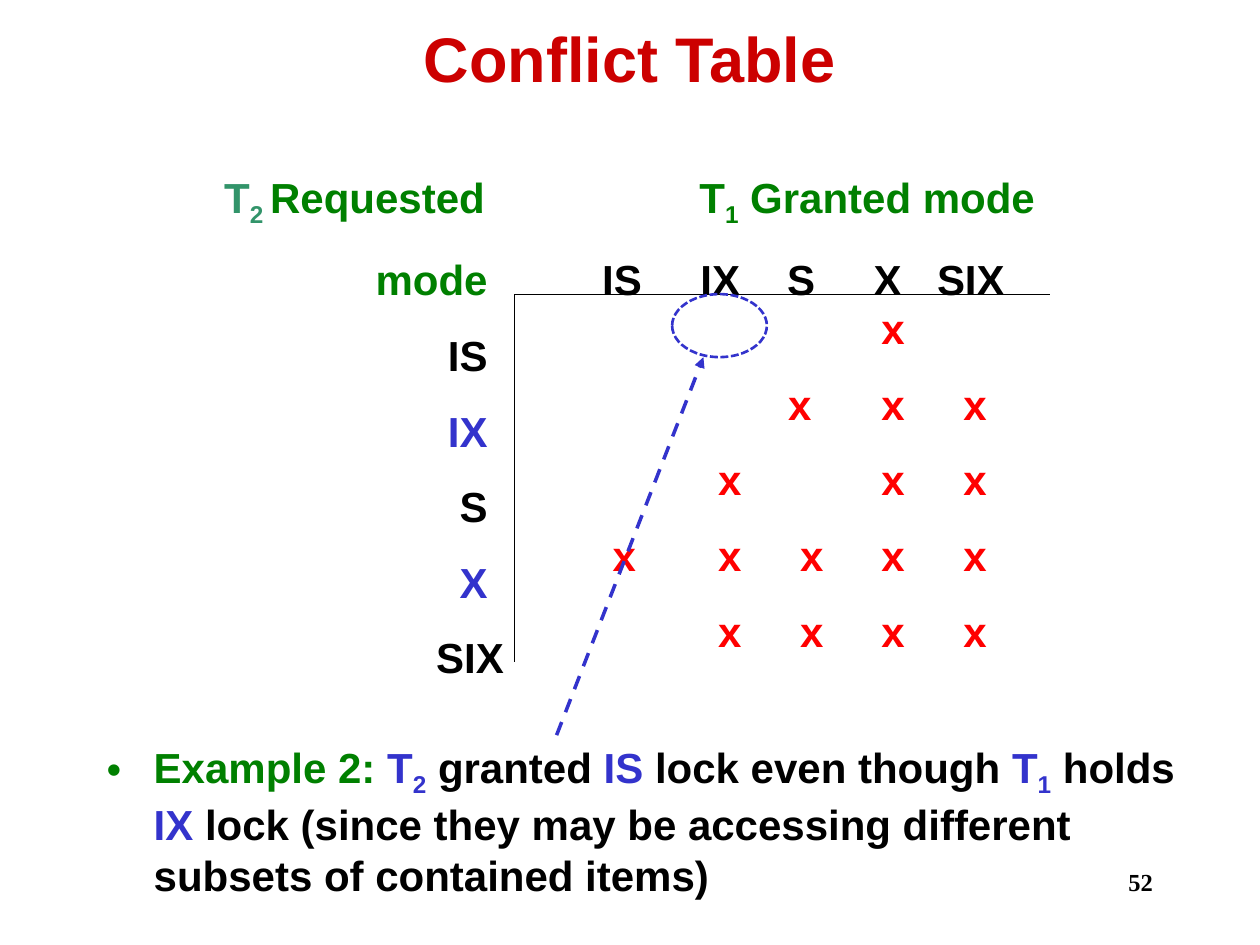
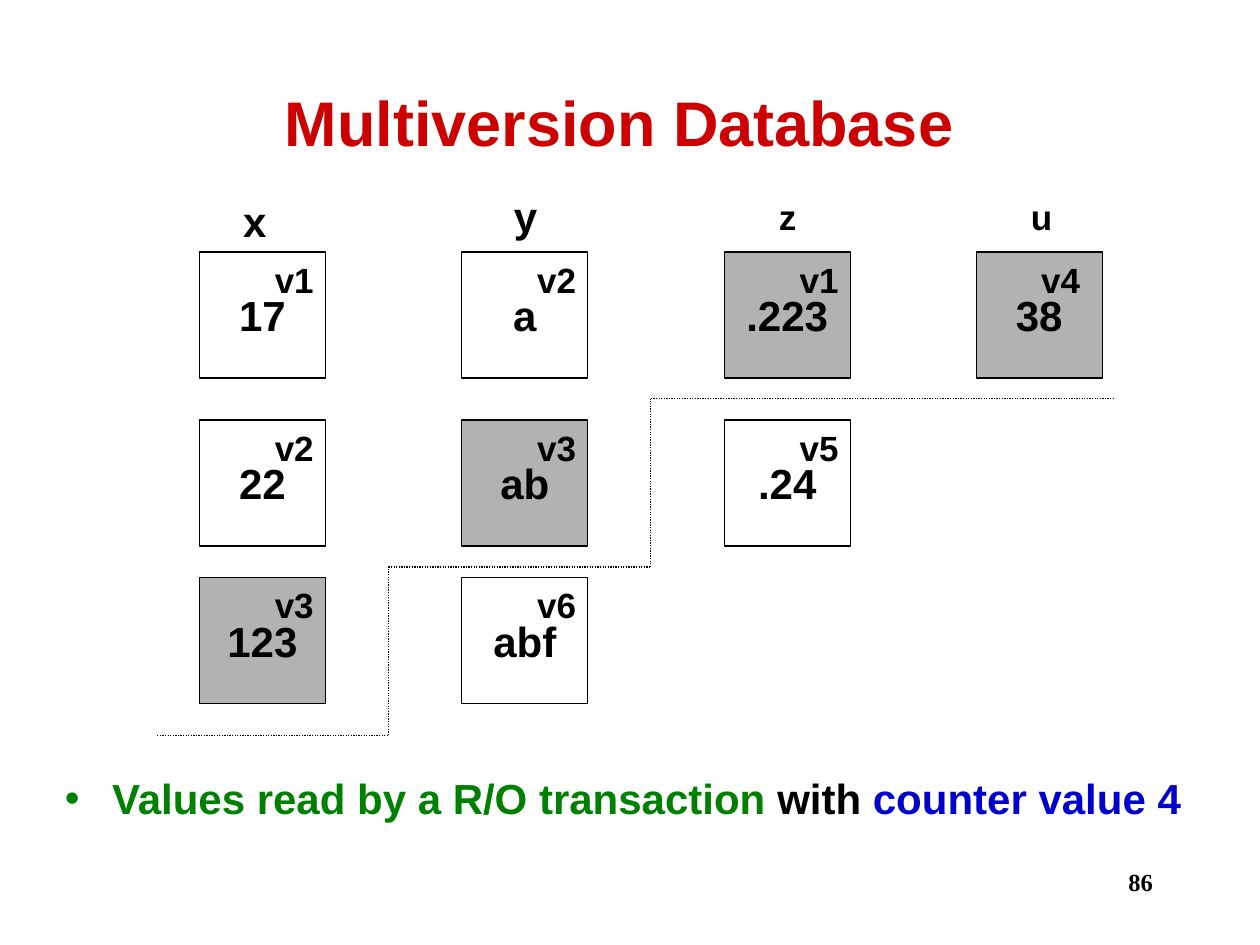
from itertools import pairwise

from lxml.etree import SubElement
from pptx import Presentation
from pptx.dml.color import RGBColor
from pptx.enum.dml import MSO_LINE
from pptx.enum.shapes import MSO_CONNECTOR, MSO_SHAPE
from pptx.enum.text import MSO_ANCHOR, PP_ALIGN
from pptx.oxml.ns import qn
from pptx.util import Cm, Pt

BLACK, WHITE, GRAY = "000000", "FFFFFF", "B2B2B2"
TITLE_RED, MARK_RED = "CC0000", "FF0000"
GREEN, TEAL = "008000", "32946A"
BLUE, COUNTER_BLUE = "3333CC", "0000CC"
BODY_FONT, NUMBER_FONT = "Arial", "Times New Roman"


def color(value):
    return RGBColor.from_string(value)


def format_run(run, value=BLACK, size=24, name=BODY_FONT):
    run.font.size = Pt(size)
    run.font.bold = True
    run.font.name = name
    run.font.color.rgb = color(value)


def add_runs(paragraph, parts):
    for text, value, *subscript in parts:
        run = paragraph.add_run()
        run.text = text
        format_run(run, value)
        if subscript:
            run.font._element.set("baseline", "-25000")


def set_tabs(paragraph, stops):
    tab_list = SubElement(paragraph._p.get_or_add_pPr(), qn("a:tabLst"))
    for position, alignment in stops:
        SubElement(tab_list, qn("a:tab"), pos=str(Cm(position)), algn=alignment)


def add_box(slide, box, wrap=True):
    frame = slide.shapes.add_textbox(*map(Cm, box)).text_frame
    frame.word_wrap = wrap
    return frame


def add_label(slide, box, text, value=BLACK, size=24, name=BODY_FONT,
              alignment=PP_ALIGN.LEFT, anchor=MSO_ANCHOR.TOP, wrap=True):
    frame = add_box(slide, box, wrap)
    frame.text = text
    frame.vertical_anchor = anchor
    paragraph = frame.paragraphs[0]
    paragraph.alignment = alignment
    format_run(paragraph.runs[0], value, size, name)


def add_title(slide, box, text):
    add_label(slide, box, text, TITLE_RED, 36,
              alignment=PP_ALIGN.CENTER, anchor=MSO_ANCHOR.MIDDLE)


def add_page_number(slide, number):
    add_label(slide, (18.2, 17.36, 5.29, 1.27), str(number), size=14,
              name=NUMBER_FONT, alignment=PP_ALIGN.RIGHT)


def add_bullet(slide, box, parts):
    paragraph = add_box(slide, box).paragraphs[0]
    properties = paragraph._p.get_or_add_pPr()
    properties.set("marL", str(Cm(0.95)))
    properties.set("indent", str(Cm(-0.95)))
    bullet_color = SubElement(properties, qn("a:buClr"))
    SubElement(bullet_color, qn("a:srgbClr"), val=GREEN)
    SubElement(properties, qn("a:buFont"), typeface=BODY_FONT)
    SubElement(properties, qn("a:buChar"), char="•")
    add_runs(paragraph, parts)


def add_line(slide, start, end, value=BLACK, width=0.75, dash=None, arrow=False):
    line = slide.shapes.add_connector(
        MSO_CONNECTOR.STRAIGHT, *map(Cm, (*start, *end)))
    SubElement(line._element.spPr, qn("a:effectLst"))
    line.line.color.rgb = color(value)
    line.line.width = Pt(width)
    if dash:
        line.line.dash_style = dash
    if arrow:
        SubElement(line.line._get_or_add_ln(), qn("a:tailEnd"), type="triangle")


def add_tabbed_rows(slide, box, rows):
    frame = add_box(slide, box)
    for index, (stops, parts) in enumerate(rows):
        paragraph = frame.add_paragraph() if index else frame.paragraphs[0]
        paragraph.line_spacing = 1.5
        set_tabs(paragraph, stops)
        add_runs(paragraph, parts)


def add_modes(slide, box):
    mode_stop = (5.77, "r")
    heading_stops = [(position, "l") for position in (8.08, 10.06, 11.81, 13.55, 14.83)]
    rows = [
        ([(0.46, "l"), (10.04, "l")],
         [("\tT", TEAL), ("2 ", TEAL, True), ("Requested\tT", GREEN),
          ("1", GREEN, True), (" Granted mode", GREEN)]),
        ([mode_stop, *heading_stops],
         [("\tmode", GREEN), ("\tIS\tIX\tS\tX\tSIX", BLACK)]),
    ]
    for mode, value in (("IS", BLACK), ("IX", BLUE), ("S", BLACK), ("X", BLUE)):
        rows.append(([mode_stop], [("\t" + mode, value)]))
    rows.append(([(6.1, "r")], [("\tSIX", BLACK)]))
    add_tabbed_rows(slide, box, rows)


def add_conflicts(slide, box):
    is_stop, ix_stop, s_stop, x_stop, six_stop = 0.46, 2.59, 4.24, 5.88, 7.53
    conflicts = [
        [x_stop],
        [s_stop - 0.24, x_stop, six_stop],
        [ix_stop, x_stop, six_stop],
        [is_stop, ix_stop, s_stop, x_stop, six_stop],
        [ix_stop, s_stop, x_stop, six_stop],
    ]
    add_tabbed_rows(slide, box, [
        ([(stop, "l") for stop in stops], [("\tx" * len(stops), MARK_RED)])
        for stops in conflicts])


def add_conflict_table(slide, left, top):
    add_modes(slide, (left, top, 17.98, 10.92))
    add_conflicts(slide, (left + 7.83, top + 2.72, 8.89, 8.2))
    corner = (left + 6.56, top + 3.18)
    add_line(slide, corner, (corner[0] + 10.8, corner[1]))
    add_line(slide, corner, (corner[0], corner[1] + 7.41))
    add_line(slide, (left + 7.41, top + 12.07), (left + 10.37, top + 4.45),
             BLUE, 2, MSO_LINE.DASH, arrow=True)
    ellipse = slide.shapes.add_shape(
        MSO_SHAPE.OVAL, *map(Cm, (left + 9.74, top + 3.18, 1.91, 1.27)))
    ellipse.shadow.inherit = False
    ellipse.fill.background()
    ellipse.line.color.rgb = color(BLUE)
    ellipse.line.width = Pt(1.5)
    ellipse.line.dash_style = MSO_LINE.SQUARE_DOT


def add_version(slide, left, top, value, version, label_offset, is_read):
    square = slide.shapes.add_shape(MSO_SHAPE.RECTANGLE, *map(Cm, (left, top, 2.54, 2.54)))
    square.shadow.inherit = False
    square.fill.solid()
    square.fill.fore_color.rgb = color(GRAY if is_read else WHITE)
    square.line.color.rgb = color(BLACK)
    square.line.width = Pt(0.75)
    frame = square.text_frame
    frame.text = value
    frame.word_wrap = False
    frame.vertical_anchor = MSO_ANCHOR.MIDDLE
    frame.paragraphs[0].alignment = PP_ALIGN.CENTER
    format_run(frame.paragraphs[0].runs[0])
    add_label(slide, (left + label_offset, top, 1.3, 1.09), version, size=20, wrap=False)


def add_version_grid(slide, left, top):
    row_offsets = (0, 3.39, 6.56)
    columns = [
        (0, ("x", 0.63, -1.27, 24), 1.27, [("17", "v1"), ("22", "v2"), ("123", "v3")], 2),
        (5.29, ("y", 0.8, -1.37, 24), 1.27, [("a", "v2"), ("ab", "v3"), ("abf", "v6")], 1),
        (10.58, ("z", 0.85, -1.27, 20), 1.27, [(".223", "v1"), (".24", "v5")], 0),
        (15.66, ("u", 0.85, -1.27, 20), 1.06, [("38", "v4")], 0),
    ]
    for offset, (name, across, up, size), label_offset, versions, read_row in columns:
        column_left = left + offset
        add_label(slide, (column_left + across, top + up, 0.95, 1.27), name,
                  size=size, wrap=False)
        for row, (value, version) in enumerate(versions):
            add_version(slide, column_left, top + row_offsets[row], value, version,
                        label_offset, row == read_row)
    boundary = [(-0.85, 9.74), (3.81, 9.74), (3.81, 6.35),
                (9.1, 6.35), (9.1, 2.96), (18.41, 2.96)]
    corners = [(left + across, top + down) for across, down in boundary]
    for start, end in pairwise(corners):
        add_line(slide, start, end, dash=MSO_LINE.ROUND_DOT)


def build_conflict_slide(slide):
    add_title(slide, (1.9, 0, 21.59, 2.33), "Conflict Table")
    add_conflict_table(slide, 3.81, 2.75)
    add_bullet(slide, (1.9, 14.82, 22.86, 3.81), [
        ("Example 2: ", GREEN), ("T", BLUE), ("2", BLUE, True), (" granted ", BLACK),
        ("IS ", BLUE), ("lock even though ", BLACK), ("T", BLUE), ("1", BLUE, True),
        (" holds ", BLACK), ("IX ", BLUE),
        ("lock (since they may be accessing different subsets of contained items)", BLACK)])
    add_page_number(slide, 52)


def build_multiversion_slide(slide):
    add_title(slide, (1.69, 0.85, 21.59, 3.18), "Multiversion Database")
    add_version_grid(slide, 4.02, 5.08)
    add_bullet(slide, (1.06, 15.45, 23.71, 1.69), [
        ("Values read by a R/O transaction", GREEN), (" with ", BLACK),
        ("counter value 4", COUNTER_BLUE)])
    add_page_number(slide, 86)


def main():
    presentation = Presentation()
    presentation.slide_width = Cm(25.4)
    presentation.slide_height = Cm(19.05)
    blank = presentation.slide_layouts[6]
    for build in (build_conflict_slide, build_multiversion_slide):
        build(presentation.slides.add_slide(blank))
    presentation.save("out.pptx")


if __name__ == "__main__":
    main()
